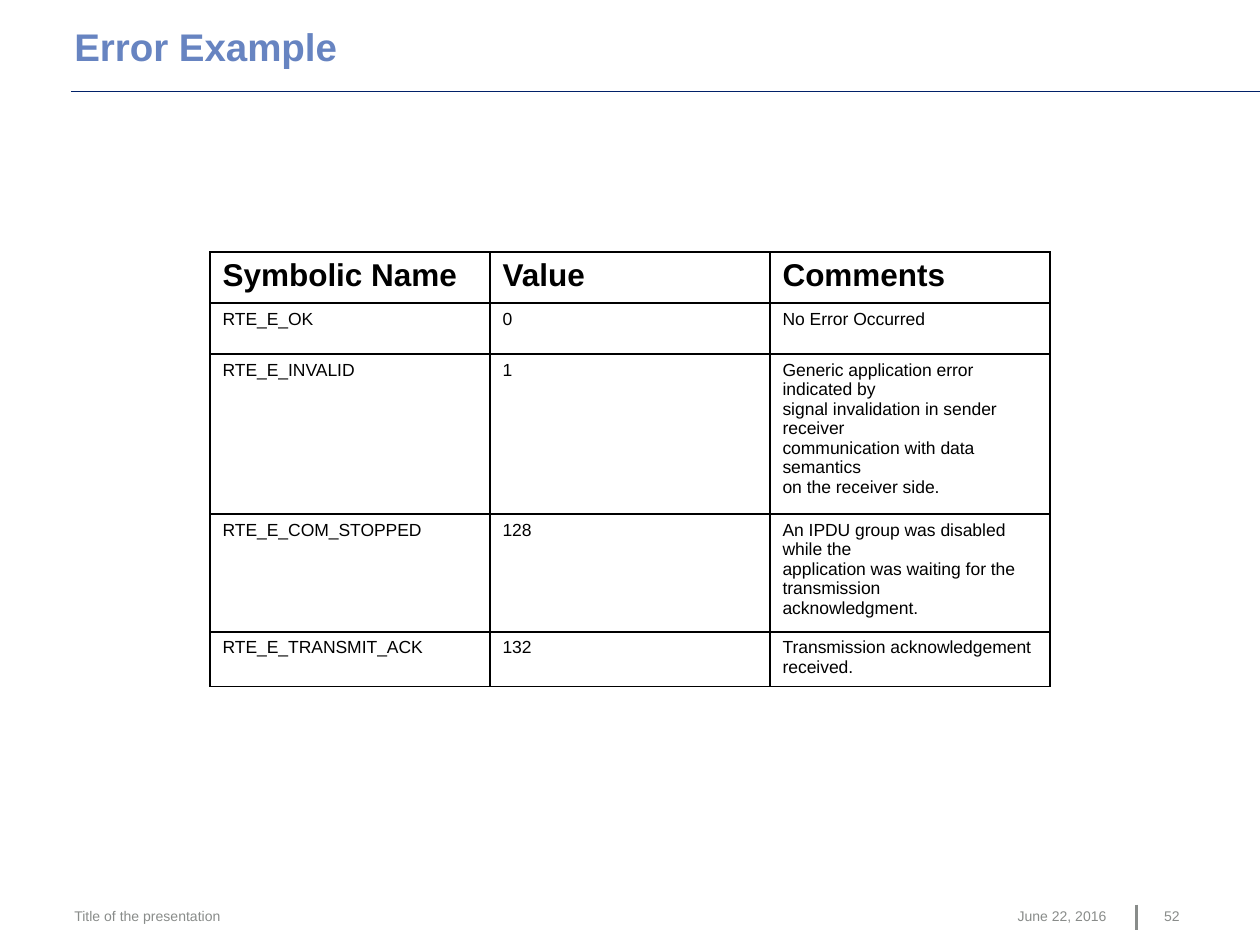
from dataclasses import dataclass

from lxml import etree
from pptx import Presentation
from pptx.dml.color import RGBColor
from pptx.enum.shapes import MSO_CONNECTOR
from pptx.enum.text import MSO_ANCHOR, MSO_AUTO_SIZE, PP_ALIGN
from pptx.oxml.ns import qn
from pptx.util import Pt

LEFT, RIGHT = PP_ALIGN.LEFT, PP_ALIGN.RIGHT
MIDDLE = MSO_ANCHOR.MIDDLE
NO_AUTOFIT = MSO_AUTO_SIZE.NONE
STRAIGHT = MSO_CONNECTOR.STRAIGHT
TITLE_ONLY = 5


@dataclass(frozen=True)
class Theme:
    font: str = "Arial"
    title: str = "6784C1"
    rule: str = "012169"
    footer: str = "898C8A"
    ink: str = "000000"
    title_size: float = 22
    header_size: float = 18
    body_size: float = 10
    footer_size: float = 8


theme = Theme()


def write_text(frame, text, size, color, bold=False, align=LEFT, spacing=None, margin=None):
    """Fill a text frame, one paragraph for each line of text."""
    frame.text = text
    if margin is not None:
        frame.margin_left = frame.margin_right = Pt(margin)
        frame.margin_top = frame.margin_bottom = Pt(margin)
    for para in frame.paragraphs:
        para.alignment = align
        if spacing:
            para.line_spacing = Pt(spacing)
        for span in para.runs:
            span.font.name = theme.font
            span.font.size = Pt(size)
            span.font.bold = bold
            span.font.color.rgb = RGBColor.from_string(color)


def add_border(cell, color, width):
    properties = cell._tc.get_or_add_tcPr()
    for position, side in enumerate(("a:lnL", "a:lnR", "a:lnT", "a:lnB")):
        line = etree.Element(qn(side), w=str(Pt(width)))
        fill = etree.SubElement(line, qn("a:solidFill"))
        etree.SubElement(fill, qn("a:srgbClr"), val=color)
        properties.insert(position, line)


deck = Presentation()
deck.slide_width, deck.slide_height = Pt(720), Pt(540)
page = deck.slides.add_slide(deck.slide_layouts[TITLE_ONLY])

# Footer divider and title rule
for x1, y1, x2, y2, color, width in (
    (649.4, 517, 649.4, 531.4, theme.footer, 1.5),
    (40.5, 52.1, 720, 52.1, theme.rule, 0.1),
):
    rule = page.shapes.add_connector(STRAIGHT, Pt(x1), Pt(y1), Pt(x2), Pt(y2))
    rule.line.color.rgb = RGBColor.from_string(color)
    rule.line.width = Pt(width)
    etree.SubElement(rule._element.spPr, qn("a:effectLst"))

# Title
title = page.shapes.title
title.left, title.top, title.width, title.height = Pt(42.5), Pt(16), Pt(476.6), Pt(25)
title.text_frame.vertical_anchor = MIDDLE
title.text_frame.auto_size = NO_AUTOFIT
write_text(title.text_frame, "Error Example", theme.title_size, theme.title,
           bold=True, spacing=22, margin=0)

# Footer
for text, left, width, align, wrap in (
    ("52", 665.3, 25, LEFT, True),
    ("June 22, 2016", 520.6, 111.8, RIGHT, True),
    ("Title of the presentation", 42.5, 297.4, LEFT, False),
):
    box = page.shapes.add_textbox(Pt(left), Pt(518.6), Pt(width), Pt(16))
    box.text_frame.word_wrap = wrap
    write_text(box.text_frame, text, theme.footer_size, theme.footer, align=align, margin=0)

# Error table
ERRORS = (
    ("Symbolic Name", "Value", "Comments"),
    ("RTE_E_OK", "0", "No Error Occurred"),
    ("RTE_E_INVALID", "1",
     "Generic application error indicated by\n"
     "signal invalidation in sender receiver\n"
     "communication with data semantics\n"
     "on the receiver side."),
    ("RTE_E_COM_STOPPED", "128",
     "An IPDU group was disabled while the\n"
     "application was waiting for the transmission\n"
     "acknowledgment."),
    ("RTE_E_TRANSMIT_ACK", "132", "Transmission acknowledgement received."),
)
COLUMN_WIDTH, ROW_HEIGHT = 160, 29.2
row_count, column_count = len(ERRORS), len(ERRORS[0])
table = page.shapes.add_table(
    row_count, column_count, Pt(120), Pt(144),
    Pt(COLUMN_WIDTH * column_count), Pt(ROW_HEIGHT * row_count),
).table
table.first_row = table.horz_banding = False
for column in table.columns:
    column.width = Pt(COLUMN_WIDTH)
for row_index, (row, entries) in enumerate(zip(table.rows, ERRORS)):
    row.height = Pt(ROW_HEIGHT)
    is_header = row_index == 0
    size = theme.header_size if is_header else theme.body_size
    for cell, entry in zip(row.cells, entries):
        cell.fill.background()
        add_border(cell, theme.ink, 1)
        write_text(cell.text_frame, entry, size, theme.ink, bold=is_header)

deck.save("out.pptx")
